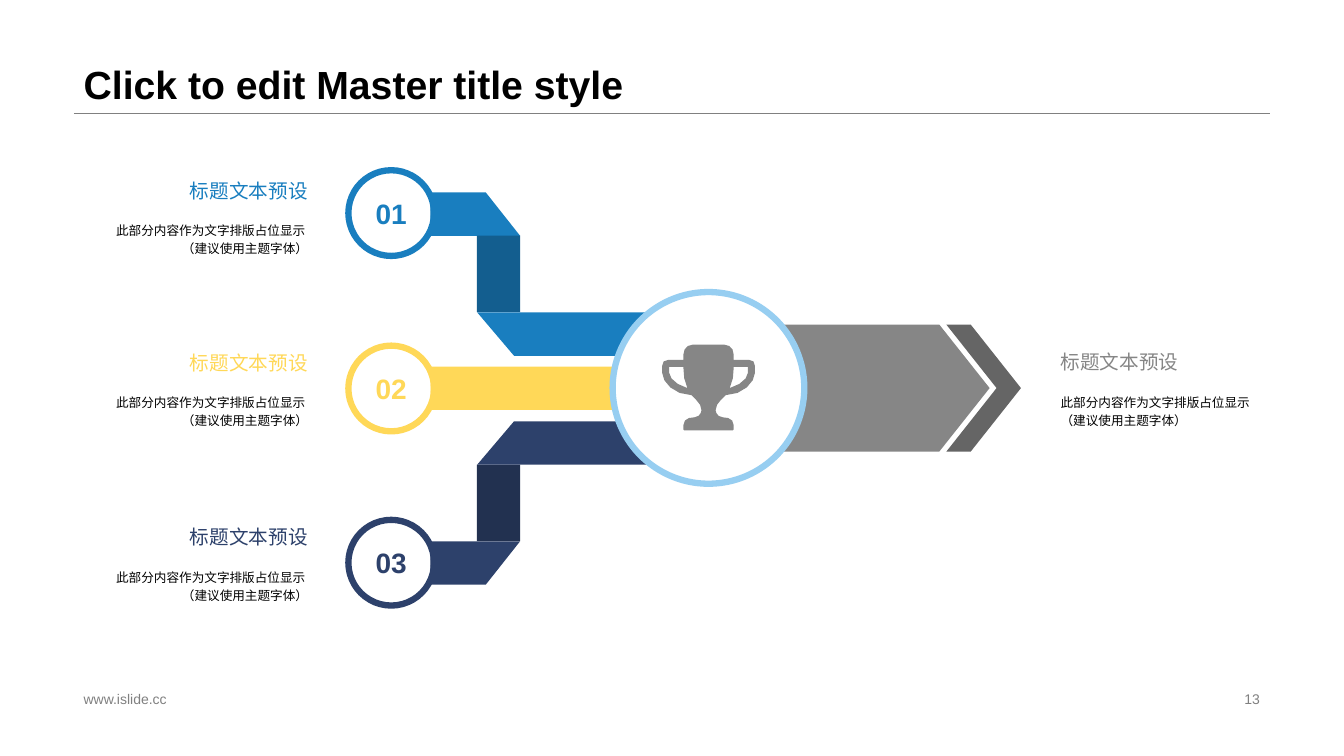
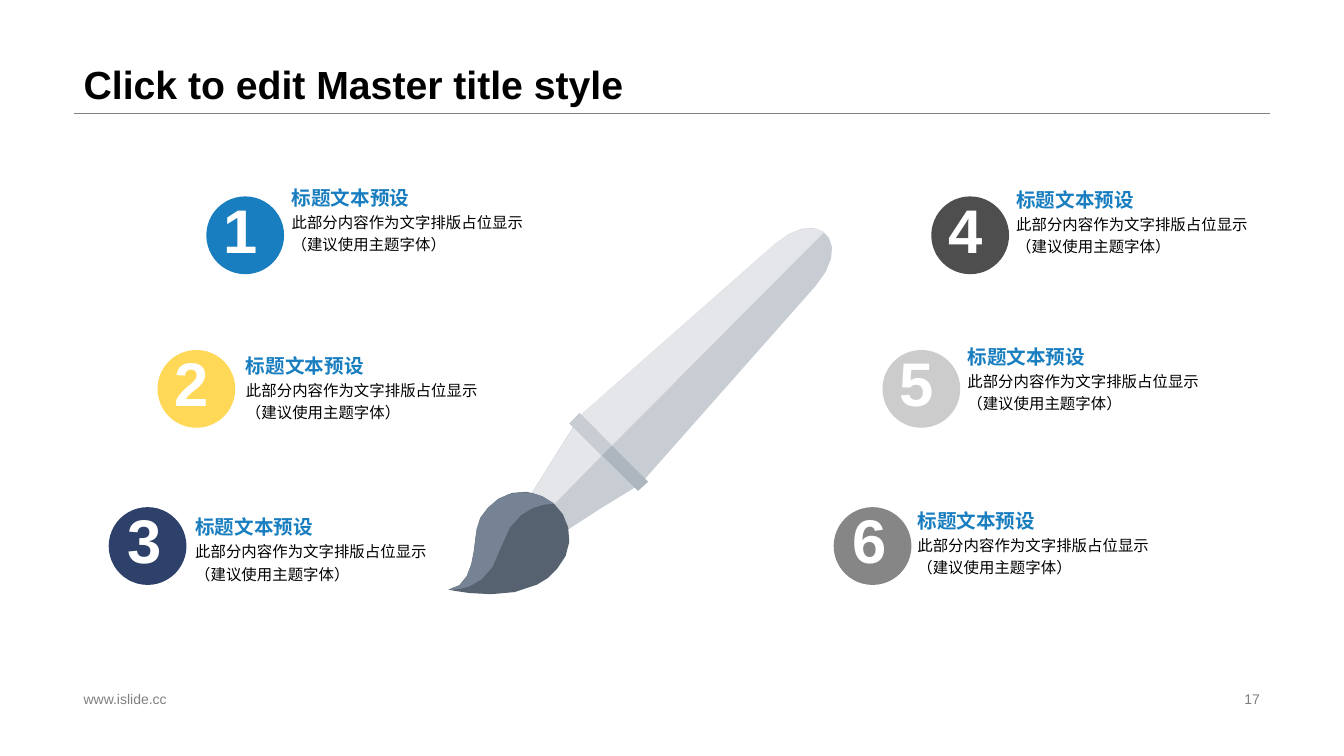
import math

import pptx
import pptx.dml.color
import pptx.enum.shapes
import pptx.enum.text
import pptx.oxml.ns
import pptx.util
from lxml import etree

Cm, Pt = pptx.util.Cm, pptx.util.Pt
SHAPE = pptx.enum.shapes.MSO_SHAPE
ALIGN = pptx.enum.text.PP_ALIGN
ANCHOR = pptx.enum.text.MSO_ANCHOR

BLUE, YELLOW, NAVY = "197EBF", "FFD858", "2D416B"
BLACK, WHITE, GREY, RULE = "000000", "FFFFFF", "868686", "808080"
UNIT = Cm(2.54) / 100  # outline points lie on a grid of 100 units per 2.54 cm

TITLE = "Click to edit Master title style"
FOOTER = "www.islide.cc"
HEADING = "标题文本预设"
BODY = ["此部分内容作为文字排版占位显示", "（建议使用主题字体）"]
SPACED_BODY = [BODY[0] + " ", BODY[1]]


def rgb(color):
    return pptx.dml.color.RGBColor.from_string(color)


def distance_to_chord(point, start, end):
    """Distance from a point to the line from start to end."""
    dx, dy = end[0] - start[0], end[1] - start[1]
    px, py = point[0] - start[0], point[1] - start[1]
    length = math.hypot(dx, dy)
    return abs(dx * py - dy * px) / length if length else math.hypot(px, py)


def flatten(steps, tolerance=0.8):
    """Turn (x, y) corners and (x1, y1, x2, y2, x, y) Bézier curves into points."""
    points = []
    for step in steps:
        if len(step) == 2:
            points.append(step)
            continue
        ends = [points[-1], step[:2], step[2:4], step[4:]]
        bulge = max(distance_to_chord(c, ends[0], ends[3]) for c in ends[1:3])
        parts = max(1, math.ceil(math.sqrt(bulge / tolerance)))
        for i in range(1, parts + 1):
            t = i / parts
            weights = ((1 - t) ** 3, 3 * t * (1 - t) ** 2, 3 * t * t * (1 - t), t ** 3)
            points.append(tuple(sum(w * e[axis] for w, e in zip(weights, ends))
                                for axis in (0, 1)))
    return points


def mirror_x(points, axis):
    return [(2 * axis - x, y) for x, y in points]


def mirror_y(points, axis):
    return [(x, 2 * axis - y) for x, y in points]


def write(tf, text, size=12, color=BLACK, bold=False, align=ALIGN.LEFT,
          anchor=ANCHOR.MIDDLE, spacing=None, wrap=True, insets=None):
    """Write one paragraph; a list of strings is joined by line breaks."""
    tf.word_wrap = wrap
    tf.vertical_anchor = anchor
    if insets:
        tf.margin_left, tf.margin_top, tf.margin_right, tf.margin_bottom = map(Cm, insets)
    p = tf.paragraphs[0]
    p.alignment = align
    if spacing:
        p.line_spacing = spacing
    for i, line in enumerate([text] if isinstance(text, str) else text):
        if i:
            p.add_line_break()
        r = p.add_run()
        r.text = line
        r.font.name, r.font.size, r.font.bold = "Arial", Pt(size), bold
        r.font.color.rgb = rgb(color)


class Deck:
    def __init__(self):
        self.prs = pptx.Presentation()
        self.prs.slide_width, self.prs.slide_height = Cm(33.87), Cm(19.05)
        self.s = None

    def slide(self, title, number):
        self.s = self.prs.slides.add_slide(self.prs.slide_layouts[6])
        self.rule(1.86, 32, 2.84)
        self.text(1.86, 0, 30.15, 2.84, title, size=28, bold=True,
                  anchor=ANCHOR.BOTTOM, spacing=0.9)
        self.text(1.86, 17.32, 11.5, 0.58, FOOTER, size=10, color=RULE)
        self.text(23.92, 17.32, 8.08, 0.58, str(number), size=10, color=RULE,
                  align=ALIGN.RIGHT)

    def rule(self, x1, x2, y):
        line = self.s.shapes.add_connector(
            pptx.enum.shapes.MSO_CONNECTOR.STRAIGHT, Cm(x1), Cm(y), Cm(x2), Cm(y))
        line.line.color.rgb = rgb(RULE)
        line.line.width = Pt(0.25)
        etree.SubElement(line._element.spPr, pptx.oxml.ns.qn("a:effectLst"))

    def text(self, x, y, w, h, text, **style):
        box = self.s.shapes.add_textbox(Cm(x), Cm(y), Cm(w), Cm(h))
        write(box.text_frame, text, **style)

    def paint(self, sp, fill=None, line=None, width=4.5):
        sp.shadow.inherit = False
        if fill:
            sp.fill.solid()
            sp.fill.fore_color.rgb = rgb(fill)
        else:
            sp.fill.background()
        if line:
            sp.line.color.rgb = rgb(line)
            sp.line.width = Pt(width)
        else:
            sp.line.fill.background()

    def shape(self, kind, x, y, w, h, fill=None, line=None, adjust=None):
        sp = self.s.shapes.add_shape(kind, Cm(x), Cm(y), Cm(w), Cm(h))
        if adjust is not None:
            sp.adjustments[0] = adjust
        self.paint(sp, fill, line)
        return sp

    def outline(self, fill, *contours):
        """Draw closed contours as one shape; inner contours are holes."""
        scaled = [[(round(x * UNIT), round(y * UNIT)) for x, y in c] for c in contours]
        builder = self.s.shapes.build_freeform(*scaled[0][0])
        for i, points in enumerate(scaled):
            if i:
                builder.move_to(*points[0])
            builder.add_line_segments(points[1:], close=True)
        self.paint(builder.convert_to_shape(), fill)

    def caption(self, x, y, widths, heights, color, sizes, body, bold=False,
                align=ALIGN.LEFT, anchors=(ANCHOR.MIDDLE, ANCHOR.MIDDLE),
                insets=(0, 0, 0, 0)):
        """Place a heading with its body text directly below."""
        self.text(x, y, widths[0], heights[0], HEADING, size=sizes[0], color=color,
                  bold=bold, align=align, anchor=anchors[0], insets=insets, wrap=False)
        self.text(x, y + heights[0], widths[1], heights[1], body, size=sizes[1],
                  align=align, anchor=anchors[1], insets=insets, spacing=1.2)


def trophy(deck):
    axis = 703
    side = flatten([
        (703, 342), (719, 342), (724, 342, 728, 346, 728, 352), (728, 357), (743, 357),
        (747, 357, 749, 359, 749, 363), (749, 370), (749, 379, 737, 392, 720, 392),
        (715, 397), (712, 400, 710, 403, 710, 407),
        (710, 409, 712, 414, 717, 414), (723, 414, 728, 416, 728, 422), (728, 426),
        (727, 427)])
    handle = flatten([(742, 364), (728, 364), (728, 372, 727, 379, 724, 385),
                      (735, 382, 742, 375, 742, 370)])
    # the start lies on the axis, so its mirror image is left out
    deck.outline(GREY, side + mirror_x(side[1:], axis)[::-1],
                 handle, mirror_x(handle, axis))


def funnel_slide(deck):
    deck.slide(TITLE, 13)
    deck.shape(SHAPE.PENTAGON, 19.71, 8.18, 5.23, 3.2, GREY, adjust=0.396)
    deck.shape(SHAPE.CHEVRON, 23.85, 8.18, 1.88, 3.2, "656565", adjust=0.673)

    middle = 385.5
    entry = [(516, 234), (427, 234), (427, 191), (482, 191)]
    arrival = [(473.5, 310), (644, 310), (644, 353), (510, 353)]
    deck.outline(BLUE, entry)
    deck.shape(SHAPE.RECTANGLE, 12.02, 5.94, 1.09, 1.93, "135E8F")
    deck.outline(BLUE, arrival)
    deck.outline(NAVY, mirror_y(entry, middle))
    deck.shape(SHAPE.RECTANGLE, 12.02, 11.71, 1.09, 1.93, "223150")
    deck.outline(NAVY, mirror_y(arrival, middle))
    deck.shape(SHAPE.RECTANGLE, 10.85, 9.24, 5.51, 1.09, YELLOW)

    caption = {"heights": (0.86, 1.55), "sizes": (14, 9), "body": SPACED_BODY}
    rows = [(BLUE, 4.29, 4.37), (YELLOW, 8.71, 8.7), (NAVY, 13.1, 13.1)]
    for number, (color, badge_y, caption_y) in enumerate(rows, 1):
        badge = deck.shape(SHAPE.OVAL, 8.78, badge_y, 2.16, 2.16, line=color)
        write(badge.text_frame, f"{number:02}", size=20, color=color, bold=True,
              align=ALIGN.CENTER, wrap=False)
        deck.caption(1.52, caption_y, (7.24, 7.24), color=color, align=ALIGN.RIGHT,
                     insets=(0, 0, 1, 0), **caption)
    deck.caption(25.73, 8.69, (6.98, 6.98), color=GREY, insets=(1, 0, 1, 0), **caption)

    deck.shape(SHAPE.OVAL, 15.44, 7.36, 4.83, 4.83, WHITE, "97CEF1")
    trophy(deck)


BRUSH = [
    # ferrule, handle and collar in shade
    ("C8CDD4", [(555, 531), (536, 543, 510, 516, 522, 498), (543, 466, 556, 445, 576, 412),
                (600, 431, 622, 453, 641, 477), (607, 497, 587, 510, 555, 531)]),
    ("C8CDD4", [(809, 284), (848, 240, 812, 204, 769, 242), (577, 411), (640, 475)]),
    ("ADB5BF", [(643, 478), (575, 410), (565, 420), (633, 487)]),
    # bristles in shade
    ("576270", [(473, 525), (470, 541, 471, 582, 445, 585), (445, 585, 499, 598, 533, 580),
                (541, 576, 548, 571, 553, 564), (571, 545, 568, 515, 549, 499),
                (529, 482, 500, 485, 484, 504), (478, 510, 474, 517, 473, 525)]),
    # lit halves of ferrule, handle, collar and bristles
    ("E4E6EA", [(550, 500), (597, 452), (569, 424), (528, 489),
                (535, 491, 542, 493, 549, 499)]),
    ("E4E6EA", [(607, 442), (818, 230), (808, 223, 789, 225, 769, 242), (577, 411)]),
    ("C8CDD4", [(607, 442), (575, 410), (565, 420), (597, 452)]),
    ("768394", [(497, 543), (511, 496, 550, 500, 550, 500), (549, 499),
                (542, 493, 535, 491, 528, 489), (512, 486, 495, 491, 484, 504),
                (478, 510, 474, 517, 473, 525), (470, 541, 471, 582, 445, 585),
                (445, 585, 484, 590, 497, 543)]),
]


def brush_slide(deck):
    deck.slide(TITLE, 17)
    for fill, steps in BRUSH:
        deck.outline(fill, flatten(steps))

    # disc colour, caption left, top and body width
    items = [(BLUE, 7.35, 4.67, 6.93), (YELLOW, 6.2, 8.91, 6.93), (NAVY, 4.92, 12.98, 6.93),
             ("4E4E4E", 25.61, 4.73, 6.27), ("CCCCCC", 24.38, 8.69, 7.49),
             (GREY, 23.12, 12.81, 8.76)]
    # disc top and left offset of its digit
    rows = [(4.95, 0.18), (8.82, 0.18), (12.78, 0.22)]
    for i, (color, x, y, w) in enumerate(items):
        column, row = divmod(i, len(rows))
        disc_y, digit_dx = rows[row]
        disc_x = 5.2 + 18.27 * column - 1.23 * row
        deck.shape(SHAPE.FLOWCHART_CONNECTOR, disc_x, disc_y, 1.96, 1.96, color)
        deck.text(disc_x + digit_dx, disc_y - 0.25, 1.4, 2.13, str(i + 1), size=44,
                  bold=True, color=WHITE, anchor=ANCHOR.TOP, wrap=False)
        deck.caption(x, y, (3, w), (0.6, 2.13), BLUE, (14, 11), BODY, bold=True,
                     anchors=(ANCHOR.BOTTOM, ANCHOR.TOP))


def main():
    deck = Deck()
    funnel_slide(deck)
    brush_slide(deck)
    deck.prs.save("out.pptx")


if __name__ == "__main__":
    main()
